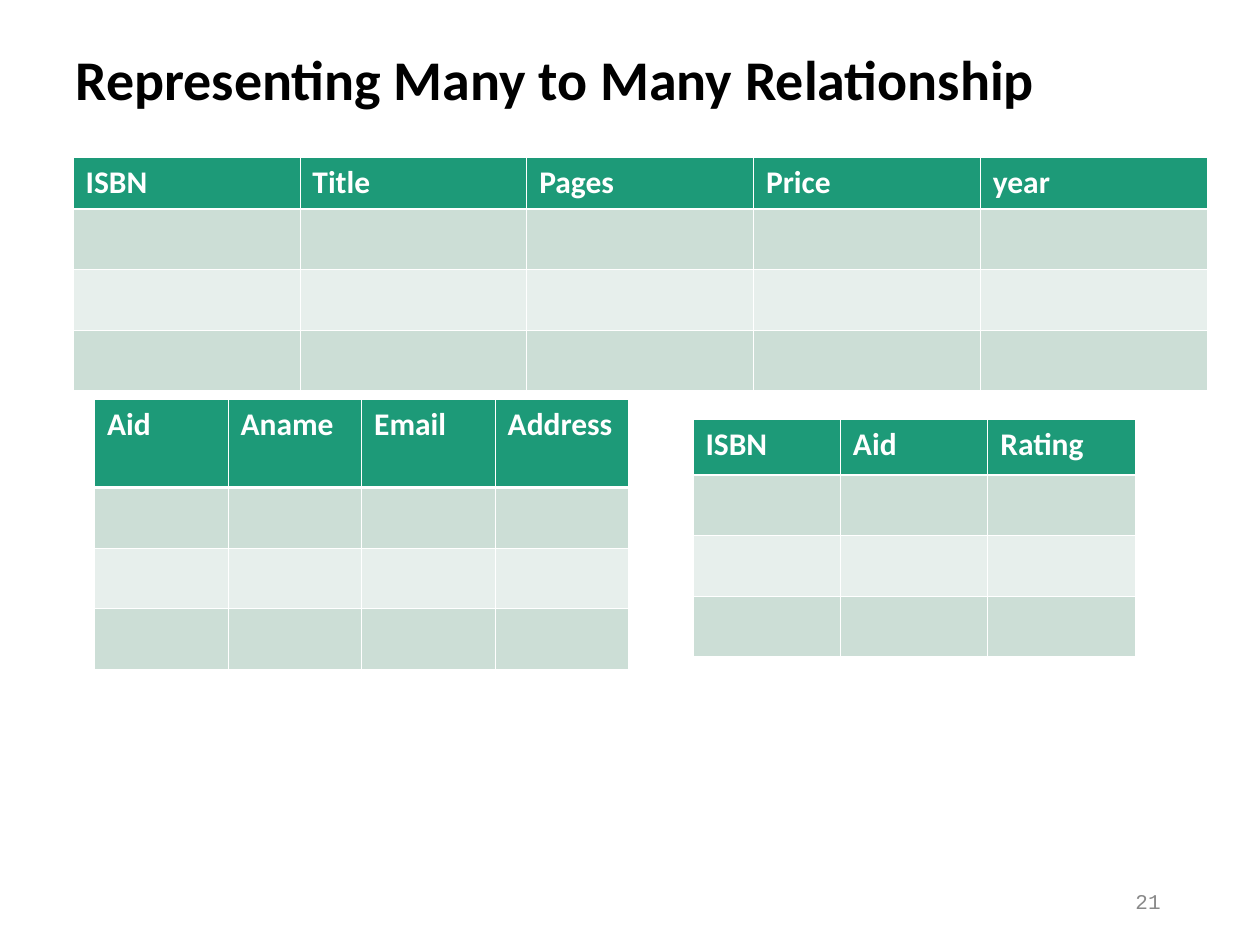
import pptx
import pptx.util
import pptx.dml.color
import pptx.enum.text
import pptx.oxml
import lxml.etree

Inch = pptx.util.Inches
Pt = pptx.util.Pt
Align = pptx.enum.text.PP_ALIGN
NS = "http://schemas.openxmlformats.org/drawingml/2006/main"


def style(para, size, face, tint, bold=False):
    font = para.font
    font.size, font.name, font.bold = Pt(size), face, bold
    font.color.rgb = pptx.dml.color.RGBColor.from_string(tint)


def edge(cell, side, width):
    """Draw one white cell border; side is L, R, T or B."""
    line = lxml.etree.fromstring(
        f'<a:ln{side} xmlns:a="{NS}" w="{Pt(width)}"><a:solidFill>'
        f'<a:srgbClr val="FFFFFF"/></a:solidFill></a:ln{side}>')
    props = cell._tc.get_or_add_tcPr()
    props.insert(len(props.findall(f"{{{NS}}}ln{side}")) + "LRTB".index(side), line)


deck = pptx.Presentation()
deck.slide_width, deck.slide_height = Inch(10), Inch(7.5)
slide = deck.slides.add_slide(deck.slide_layouts[6])

# Title and page number
labels = [
    ("Representing Many to Many Relationship", (0.5, 0.3, 9, 0.7),
     Align.LEFT, 0.9, (32, "Calibri", "000000", True)),
    ("21", (7.06, 6.95, 2.25, 0.4),
     Align.RIGHT, 1.0, (12, "Courier New", "898989")),
]
for text, place, align, lead, look in labels:
    frame = slide.shapes.add_textbox(*map(Inch, place)).text_frame
    frame.word_wrap = True
    frame.vertical_anchor = pptx.enum.text.MSO_ANCHOR.MIDDLE
    para = frame.paragraphs[0]
    para.text, para.alignment, para.line_spacing = text, align, lead
    style(para, *look)

# Book, author and linking tables: left, top, column width, header height
fills = ["1D9A78", "CCDED6", "E7EFEC", "CCDED6"]
body = 0.48
tables = [
    (0.58, 1.25, 1.8, 0.41, ["ISBN", "Title", "Pages", "Price", "year"]),
    (0.75, 3.17, 1.06, 0.7, ["Aid", "Aname", "Email", "Address"]),
    (5.5, 3.33, 1.17, 0.44, ["ISBN", "Aid", "Rating"]),
]
for left, top, wide, head, names in tables:
    high = head + 3 * body
    grid = slide.shapes.add_table(
        len(fills), len(names), Inch(left), Inch(top),
        Inch(wide * len(names)), Inch(high)).table
    for col in grid.columns:
        col.width = Inch(wide)
    for r, fill in enumerate(fills):
        grid.rows[r].height = Inch(body if r else head)
        for c, name in enumerate(names):
            cell = grid.cell(r, c)
            cell.fill.solid()
            cell.fill.fore_color.rgb = pptx.dml.color.RGBColor.from_string(fill)
            for side in "LRTB":
                thick = (r, side) in [(0, "B"), (1, "T")]
                edge(cell, side, 1.47 if thick else 0.45)
            if r == 0:
                cell.text = name
                style(cell.text_frame.paragraphs[0], 18, "Calibri", "FFFFFF", True)

deck.save("out.pptx")
